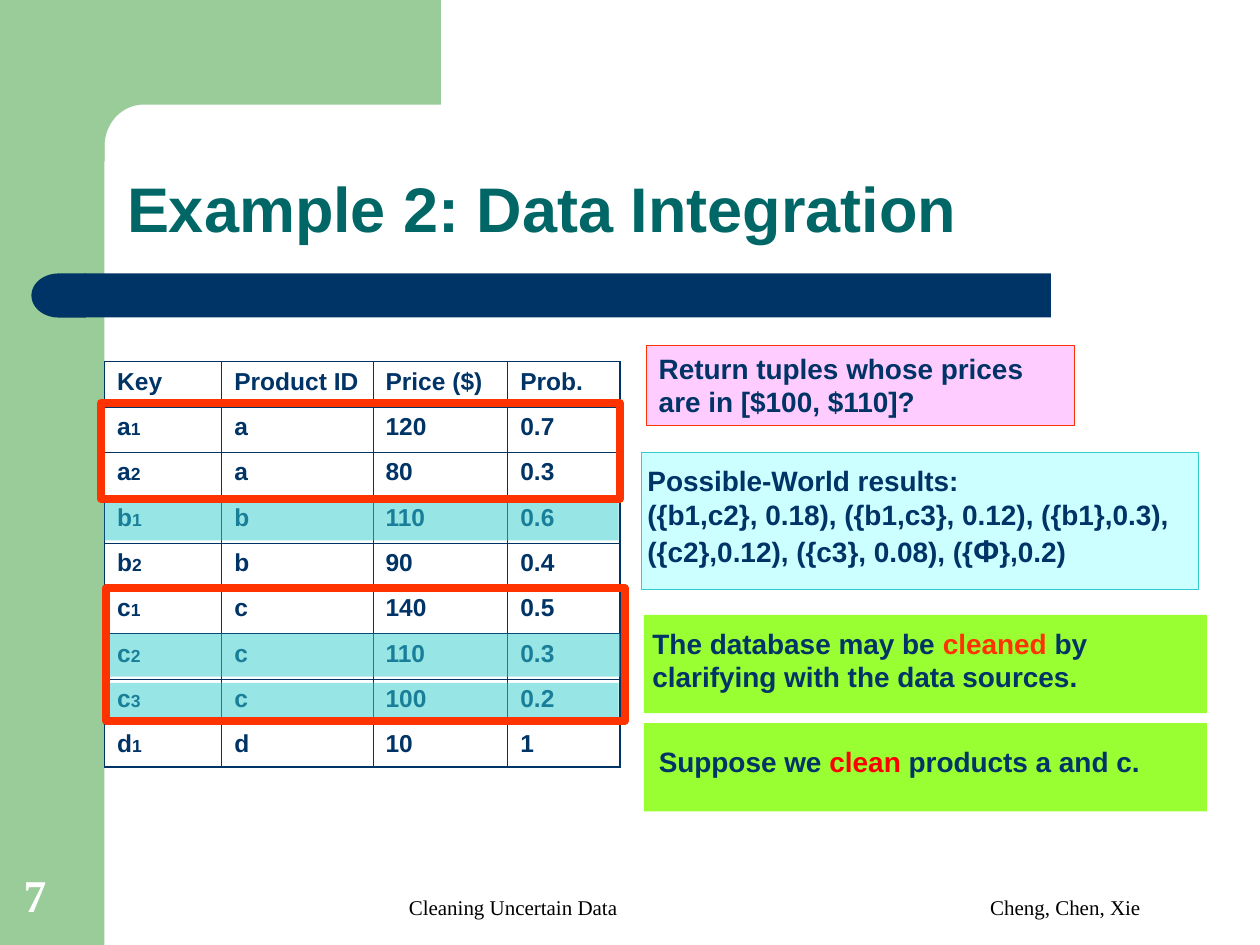
from math import cos, pi, sin

from lxml.etree import SubElement
from pptx import Presentation
from pptx.dml.color import RGBColor
from pptx.enum.shapes import MSO_SHAPE
from pptx.enum.text import MSO_ANCHOR, PP_ALIGN
from pptx.oxml.ns import qn
from pptx.util import Inches, Pt

NAVY, TEAL, GREEN, LIME = "003366", "006666", "99CC99", "99FF33"
ORANGE, AQUA, RED, WHITE = "FF3300", "33CCCC", "FF0000", "FFFFFF"


def color(value):
    return RGBColor.from_string(value)


def write_text(para, text, size=16, font="Arial", fill=NAVY, bold=True):
    span = para.add_run()
    span.text = text
    span.font.size = Pt(size)
    span.font.name = font
    span.font.bold = bold
    span.font.color.rgb = color(fill)


class SlideBuilder:
    def __init__(self, page):
        self.page = page

    def finish(self, shape, fill=None, line=None, weight=0.75):
        shape.shadow.inherit = False
        if fill:
            shape.fill.solid()
            shape.fill.fore_color.rgb = color(fill)
        else:
            shape.fill.background()
        if line:
            shape.line.color.rgb = color(line)
            shape.line.width = Pt(weight)
        else:
            shape.line.fill.background()
        return shape

    def shape(self, place, fill=None, kind=MSO_SHAPE.RECTANGLE, **style):
        box = self.page.shapes.add_shape(kind, *map(Inches, place))
        return self.finish(box, fill, **style)

    def highlight(self, place):
        band = self.shape(place, AQUA)
        fill = band._element.spPr.find(qn("a:solidFill"))
        SubElement(fill[0], qn("a:alpha")).set("val", "50000")

    def outline(self, points, fill):
        start, *others = [(Inches(x), Inches(y)) for x, y in points]
        builder = self.page.shapes.build_freeform(*start)
        builder.add_line_segments(others)
        self.finish(builder.convert_to_shape(), fill)

    def fill_frame(self, box, paragraphs, anchor=MSO_ANCHOR.TOP,
                   align=PP_ALIGN.LEFT, spacing=None, indent=0):
        """Each paragraph is a list of (text, format) pairs."""
        frame = box.text_frame
        frame.word_wrap = True
        frame.vertical_anchor = anchor
        for index, spans in enumerate(paragraphs):
            para = frame.add_paragraph() if index else frame.paragraphs[0]
            para.alignment = align
            para.line_spacing = spacing
            if indent:
                para._p.get_or_add_pPr().set("marL", str(Inches(indent)))
            for text, style in spans:
                write_text(para, text, **style)

    def text(self, place, paragraphs, **layout):
        box = self.page.shapes.add_textbox(*map(Inches, place))
        self.fill_frame(box, paragraphs, **layout)

    def cell_border(self, cell, side, weight):
        line = SubElement(cell._tc.get_or_add_tcPr(), qn(f"a:ln{side}"),
                          w=str(Pt(weight)))
        fill = SubElement(line, qn("a:solidFill"))
        SubElement(fill, qn("a:srgbClr"), val=NAVY)

    def table(self, place, rows, widths, heights):
        table = self.page.shapes.add_table(
            len(rows), len(widths), *map(Inches, place)).table
        table.first_row = table.horz_banding = False
        for column, width in zip(table.columns, widths):
            column.width = Inches(width)
        for row, height in zip(table.rows, heights):
            row.height = Inches(height)
        last_row, last_column = len(rows) - 1, len(widths) - 1
        for r, values in enumerate(rows):
            for c, value in enumerate(values):
                cell = table.cell(r, c)
                para = cell.text_frame.paragraphs[0]
                is_key = r > 0 and c == 0
                para.space_before = Pt(2.5 if is_key else 3.5)
                write_text(para, value[0] if is_key else value, size=14)
                if is_key:
                    write_text(para, value[1:], size=10)
                edges = {"L": c == 0, "R": c == last_column,
                         "T": r == 0, "B": r == last_row}
                for side, outer in edges.items():
                    self.cell_border(cell, side, 1.08 if outer else 0.45)
                cell.fill.background()


def main():
    deck = Presentation()
    deck.slide_width, deck.slide_height = Inches(10), Inches(7.5)
    slide = SlideBuilder(deck.slides.add_slide(deck.slide_layouts[6]))

    # Background frame with its rounded inner corner
    slide.shape((0, 0, 0.83, 7.5), GREEN)
    steps = 16
    angles = [pi / 2 * step / steps for step in range(steps + 1)]
    corner = [(1.14 - 0.31 * sin(a), 1.16 - 0.33 * cos(a)) for a in angles]
    slide.outline([(0.5, 0), (3.5, 0), (3.5, 0.83), *corner,
                   (0.83, 1.28), (0.5, 1.28)], GREEN)

    # Title and bar
    slide.shape((0.67, 2.17, 7.67, 0.35), NAVY)
    cap = slide.shape((0.25, 2.17, 0.43, 0.35), NAVY,
                      MSO_SHAPE.FLOWCHART_DELAY)
    cap._element.spPr.xfrm.set("flipH", "1")
    slide.text((0.91, 0.91, 8.51, 1.09),
               [[("Example 2: Data Integration", {"size": 36, "fill": TEAL})]],
               anchor=MSO_ANCHOR.BOTTOM, spacing=0.9)

    # Product table
    rows = [
        ("Key", "Product ID", "Price ($)", "Prob."),
        ("a1", "a", "120", "0.7"),
        ("a2", "a", "80", "0.3"),
        ("b1", "b", "110", "0.6"),
        ("b2", "b", "90", "0.4"),
        ("c1", "c", "140", "0.5"),
        ("c2", "c", "110", "0.3"),
        ("c3", "c", "100", "0.2"),
        ("d1", "d", "10", "1"),
    ]
    slide.table((0.83, 2.87, 4.08, 3.22), rows,
                (0.93, 1.2, 1.07, 0.89), [0.36] * 8 + [0.34])

    # Matching rows, then the groups to clean
    for place in ((0.83, 3.95, 4.08, 0.34), (0.85, 5.03, 4.07, 0.34),
                  (0.83, 5.42, 4.08, 0.3)):
        slide.highlight(place)
    for place in ((0.8, 3.2, 4.12, 0.76), (0.84, 4.67, 4.12, 1.05)):
        slide.shape(place, line=ORANGE, weight=4.5)

    # Query
    query = slide.shape((5.13, 2.74, 3.4, 0.64), "FFCCFF", line=ORANGE)
    slide.fill_frame(
        query, [[("Return tuples whose prices are in [$100, $110]?", {})]])

    # Possible-world results
    slide.shape((5.09, 3.59, 4.42, 1.09), "CCFFFF", line=AQUA)
    slide.text((5.04, 3.63, 4.58, 0.94), [
        [("Possible-World results:", {})],
        [("({b1,c2}, 0.18), ({b1,c3}, 0.12), ({b1},0.3), "
          "({c2},0.12), ({c3}, 0.08), ({", {}),
         ("Φ", {"size": 18}), ("},0.2)", {})],
    ])

    # Cleaning notes
    slide.shape((5.11, 4.88, 4.47, 0.78), LIME)
    slide.text((5.08, 4.92, 4.49, 0.64), [
        [("The database may be ", {}), ("cleaned", {"fill": ORANGE}),
         (" by clarifying with the data sources.", {})]])
    slide.shape((5.11, 5.74, 4.47, 0.7), LIME)
    slide.text((5.13, 5.86, 4.49, 0.37), [
        [("Suppose we ", {}), ("clean", {"fill": RED}),
         (" products a and c.", {})]])

    # Footer
    serif = {"font": "Times New Roman"}
    small = {**serif, "size": 12, "fill": "000000", "bold": False}
    number = {**serif, "size": 26, "fill": WHITE}
    bottom = MSO_ANCHOR.BOTTOM
    slide.text((0.09, 6.83, 0.64, 0.53), [[("7", number)]], anchor=bottom)
    slide.text((2.67, 6.83, 2.33, 0.52), [[("Cleaning Uncertain Data", small)]],
               anchor=bottom, align=PP_ALIGN.RIGHT, indent=0.24)
    slide.text((6.75, 6.83, 3.17, 0.52), [[("Cheng, Chen, Xie", small)]],
               anchor=bottom, align=PP_ALIGN.CENTER, indent=0.24)

    deck.save("out.pptx")


if __name__ == "__main__":
    main()
